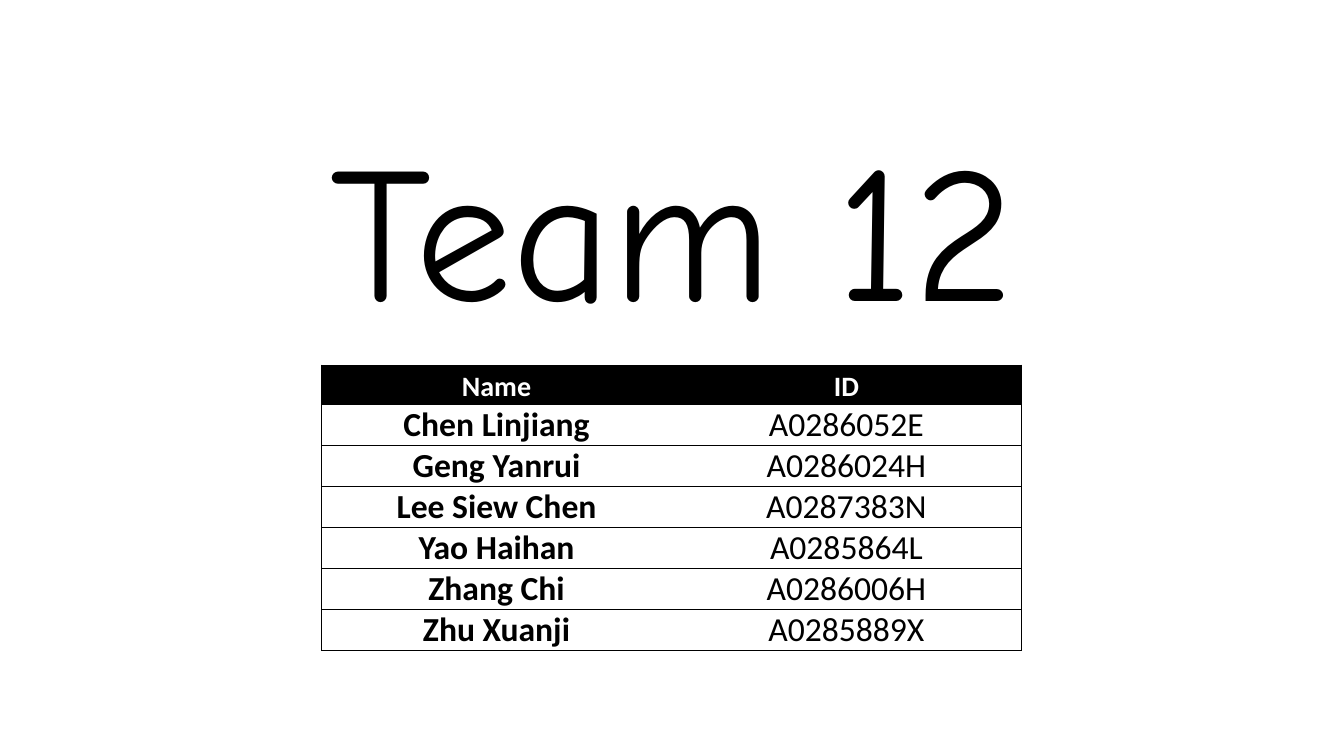
from lxml.etree import SubElement
from pptx import Presentation
from pptx.dml.color import RGBColor
from pptx.enum.text import MSO_ANCHOR, PP_ALIGN
from pptx.oxml.ns import qn
from pptx.util import Inches, Pt

TITLE = "Team 12"
HEADER = ("Name", "ID")
MEMBERS = [
    ("Chen Linjiang", "A0286052E"),
    ("Geng Yanrui", "A0286024H"),
    ("Lee Siew Chen", "A0287383N"),
    ("Yao Haihan", "A0285864L"),
    ("Zhang Chi", "A0286006H"),
    ("Zhu Xuanji", "A0285889X"),
]
BLACK, WHITE = "000000", "FFFFFF"
TITLE_BOX = (1.67, 1.07, 10, 2.61)
TABLE_LEFT, TABLE_TOP = 3.19, 3.62
COL_W, HEADER_H, ROW_H = 3.47, 0.37, 0.4
BORDER_PT = 0.5
CELL_FORMAT = {
    "margin_left": Inches(0.07), "margin_right": Inches(0.07),
    "margin_top": 0, "margin_bottom": 0,
    "vertical_anchor": MSO_ANCHOR.TOP,
}


def rgb(color):
    return RGBColor.from_string(color)


def write(tf, text, spacing, color, **font):
    p = tf.paragraphs[0]
    p.alignment, p.line_spacing = PP_ALIGN.CENTER, spacing
    r = p.add_run()
    r.text = text
    r.font.color.rgb = rgb(color)
    for name, value in font.items():
        setattr(r.font, name, value)


def set_borders(cell, visible):
    """Draw the sides named in visible (from L, R, T, B) and clear the rest."""
    tcPr = cell._tc.get_or_add_tcPr()
    for side in "LRTB":
        ln = SubElement(tcPr, qn("a:ln" + side), w=str(Pt(BORDER_PT)))
        if side in visible:
            fill = SubElement(ln, qn("a:solidFill"))
            SubElement(fill, qn("a:srgbClr"), val=BLACK)
        else:
            SubElement(ln, qn("a:noFill"))


prs = Presentation()
prs.slide_width, prs.slide_height = Inches(13.33), Inches(7.5)
s = prs.slides.add_slide(prs.slide_layouts[0])
subtitle = s.placeholders[1].element
subtitle.getparent().remove(subtitle)

title = s.shapes.title
title.left, title.top, title.width, title.height = map(Inches, TITLE_BOX)
title.text_frame.vertical_anchor = MSO_ANCHOR.MIDDLE
write(title.text_frame, TITLE, 0.9, BLACK, name="Comic Neue", size=Pt(138))

rows = [HEADER] + MEMBERS
heights = [HEADER_H] + [ROW_H] * len(MEMBERS)
table = s.shapes.add_table(
    len(rows), len(HEADER), Inches(TABLE_LEFT), Inches(TABLE_TOP),
    Inches(COL_W * len(HEADER)), Inches(sum(heights))).table
for col in table.columns:
    col.width = Inches(COL_W)

for i, (values, height) in enumerate(zip(rows, heights)):
    table.rows[i].height = Inches(height)
    is_header = i == 0
    for j, value in enumerate(values):
        cell = table.cell(i, j)
        set_borders(cell, "TB" + "LR"[j])
        for name, setting in CELL_FORMAT.items():
            setattr(cell, name, setting)
        cell.fill.solid()
        cell.fill.fore_color.rgb = rgb(BLACK if is_header else WHITE)
        write(cell.text_frame, value, 1.15 if is_header else 1.0,
              WHITE if is_header else BLACK, name="Calibri",
              size=Pt(20 if is_header else 24), bold=is_header or j == 0)

prs.save("out.pptx")
